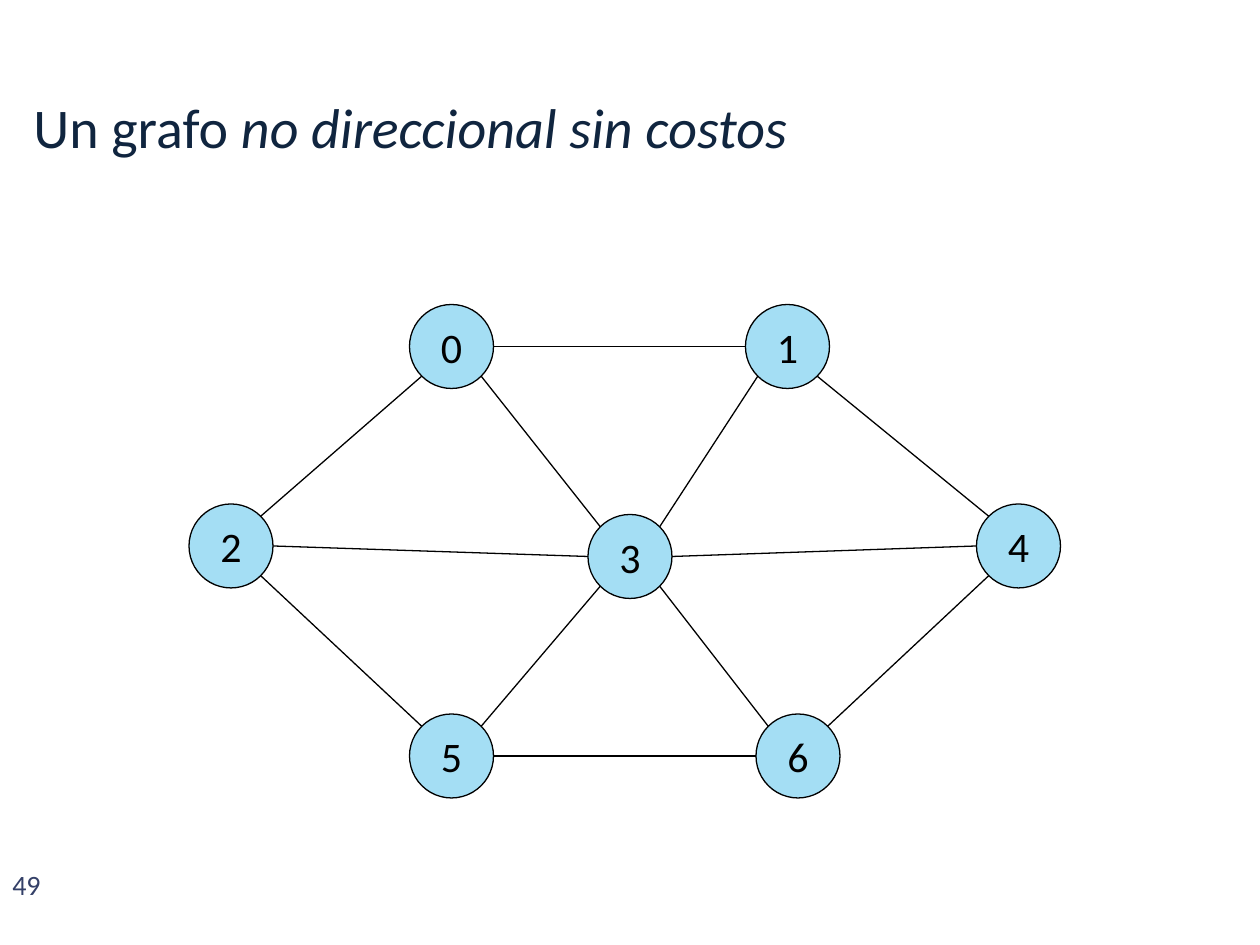
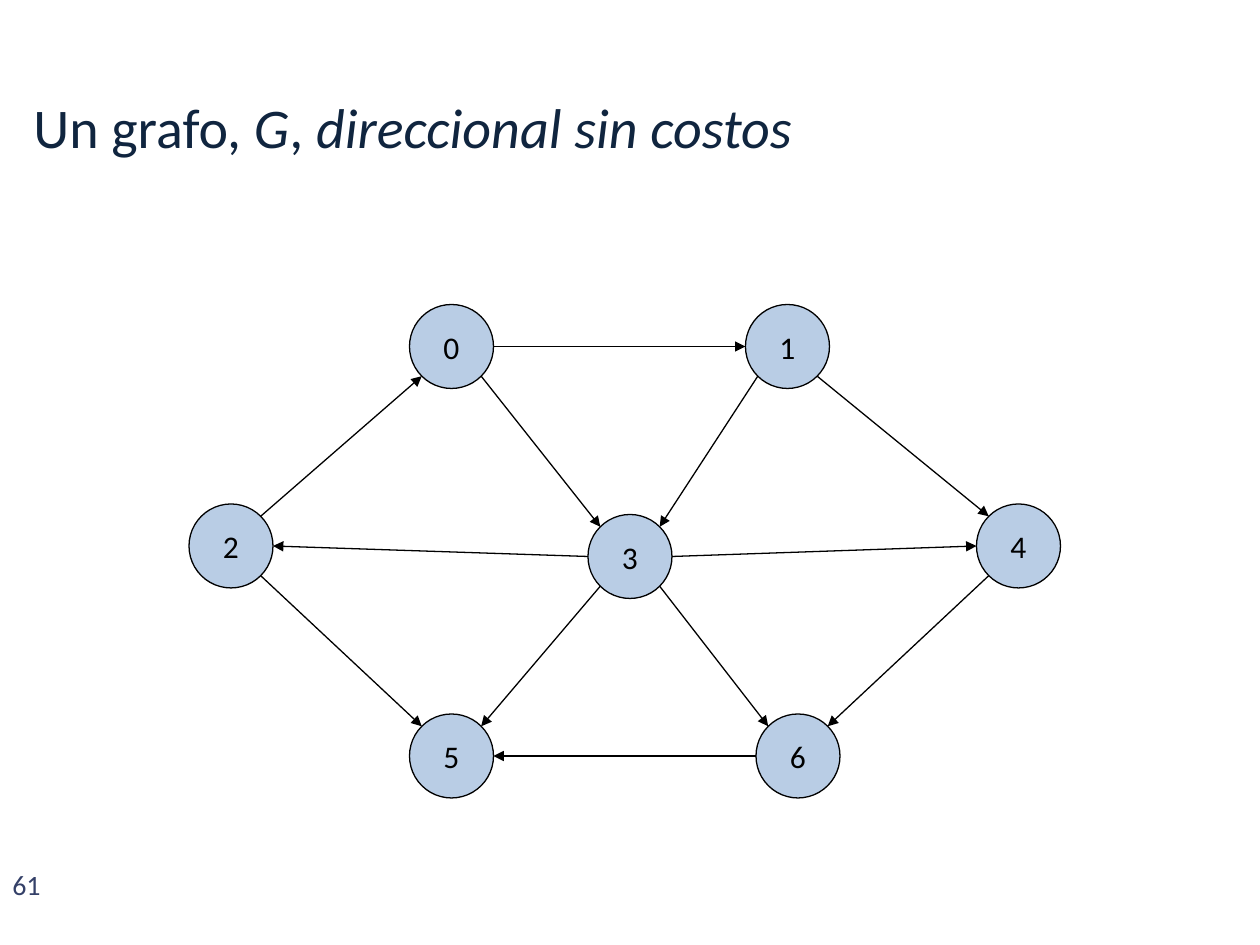
from math import atan2, cos, pi, sin

from lxml import etree
from pptx import Presentation
from pptx.dml.color import RGBColor
from pptx.enum.shapes import MSO_CONNECTOR, MSO_SHAPE
from pptx.enum.text import MSO_ANCHOR, PP_ALIGN
from pptx.oxml.ns import qn
from pptx.util import Pt

OVAL = MSO_SHAPE.OVAL
STRAIGHT = MSO_CONNECTOR.STRAIGHT
MIDDLE = MSO_ANCHOR.MIDDLE
CENTER = PP_ALIGN.CENTER

FONT = "Calibri"
COLORS = {
    "title": "10253F",
    "page": "344068",
    "ink": "000000",
    "sky": "A4DEF4",
    "steel": "B9CDE5",
}

# Boxes are left, top, width, height in points.
TITLE_BOX = (12, 24, 696, 96)
PAGE_BOX = (0, 492, 42, 30)
GRAPH_BOX = (108, 174, 498, 282)

DIAMETER = 48
# Top-left corner of each vertex, relative to the graph box.
VERTICES = {
    "0": (126, 0),
    "3": (228, 120),
    "4": (450, 114),
    "2": (0, 114),
    "5": (126, 234),
    "6": (324, 234),
    "1": (318, 0),
}
EDGES = ["01", "03", "13", "32", "34", "35", "36", "20", "14", "25", "46", "65"]


def rgb(name):
    """Return the named colour."""
    return RGBColor.from_string(COLORS[name])


def style_run(run, size, color, italic=None):
    """Apply font, size, colour and slant to a run."""
    run.font.name = FONT
    run.font.size = Pt(size)
    run.font.color.rgb = rgb(color)
    run.font.italic = italic


def add_label(slide, box, pieces, size, color, anchor=None):
    """Write one line of (text, italic) pieces in a wrapping text box."""
    frame = slide.shapes.add_textbox(*map(Pt, box)).text_frame
    frame.word_wrap = True
    frame.vertical_anchor = anchor
    for text, italic in pieces:
        run = frame.paragraphs[0].add_run()
        run.text = text
        style_run(run, size, color, italic)


def add_vertex(slide, left, top, name, fill, size):
    """Draw one numbered circle."""
    vertex = slide.shapes.add_shape(
        OVAL, Pt(left), Pt(top), Pt(DIAMETER), Pt(DIAMETER))
    vertex.shadow.inherit = False
    vertex.fill.solid()
    vertex.fill.fore_color.rgb = rgb(fill)
    vertex.line.color.rgb = rgb("ink")
    vertex.line.width = Pt(0.75)
    frame = vertex.text_frame
    frame.text = name
    frame.word_wrap = False
    frame.vertical_anchor = MIDDLE
    number = frame.paragraphs[0]
    number.alignment = CENTER
    style_run(number.runs[0], size, "ink")


def add_edge(slide, start, end, directed):
    """Join two circle centres, touching each rim at a multiple of 45 degrees."""
    (x1, y1), (x2, y2) = start, end
    angle = round(atan2(y2 - y1, x2 - x1) / (pi / 4)) * pi / 4
    dx, dy = DIAMETER / 2 * cos(angle), DIAMETER / 2 * sin(angle)
    edge = slide.shapes.add_connector(
        STRAIGHT, Pt(x1 + dx), Pt(y1 + dy), Pt(x2 - dx), Pt(y2 - dy))
    edge.line.color.rgb = rgb("ink")
    edge.line.width = Pt(0.75)
    if directed:
        etree.SubElement(edge.line._get_or_add_ln(), qn("a:tailEnd"),
                         type="triangle")
    etree.SubElement(edge._element.spPr, qn("a:effectLst"))


def add_graph(slide, box, fill, size, directed):
    """Draw the seven vertices and their edges inside the box."""
    left, top = box[:2]
    centres = {}
    for name, (x, y) in VERTICES.items():
        add_vertex(slide, left + x, top + y, name, fill, size)
        centres[name] = (left + x + DIAMETER / 2, top + y + DIAMETER / 2)
    for start, end in EDGES:
        add_edge(slide, centres[start], centres[end], directed)


def add_graph_slide(deck, page, title, fill, size, directed):
    """Add a slide with page number, graph and title."""
    slide = deck.slides.add_slide(deck.slide_layouts[6])
    add_label(slide, PAGE_BOX, [(page, None)], 16, "page")
    add_graph(slide, GRAPH_BOX, fill, size, directed)
    add_label(slide, TITLE_BOX, title, 32, "title", MIDDLE)


deck = Presentation()
deck.slide_width, deck.slide_height = Pt(720), Pt(540)

add_graph_slide(
    deck, "49",
    [("Un grafo ", False), ("no direccional sin costos", True)],
    fill="sky", size=24, directed=False)
add_graph_slide(
    deck, "61",
    [("Un grafo, ", False), ("G", True), (", ", False),
     ("direccional sin costos", True)],
    fill="steel", size=18, directed=True)

deck.save("out.pptx")
